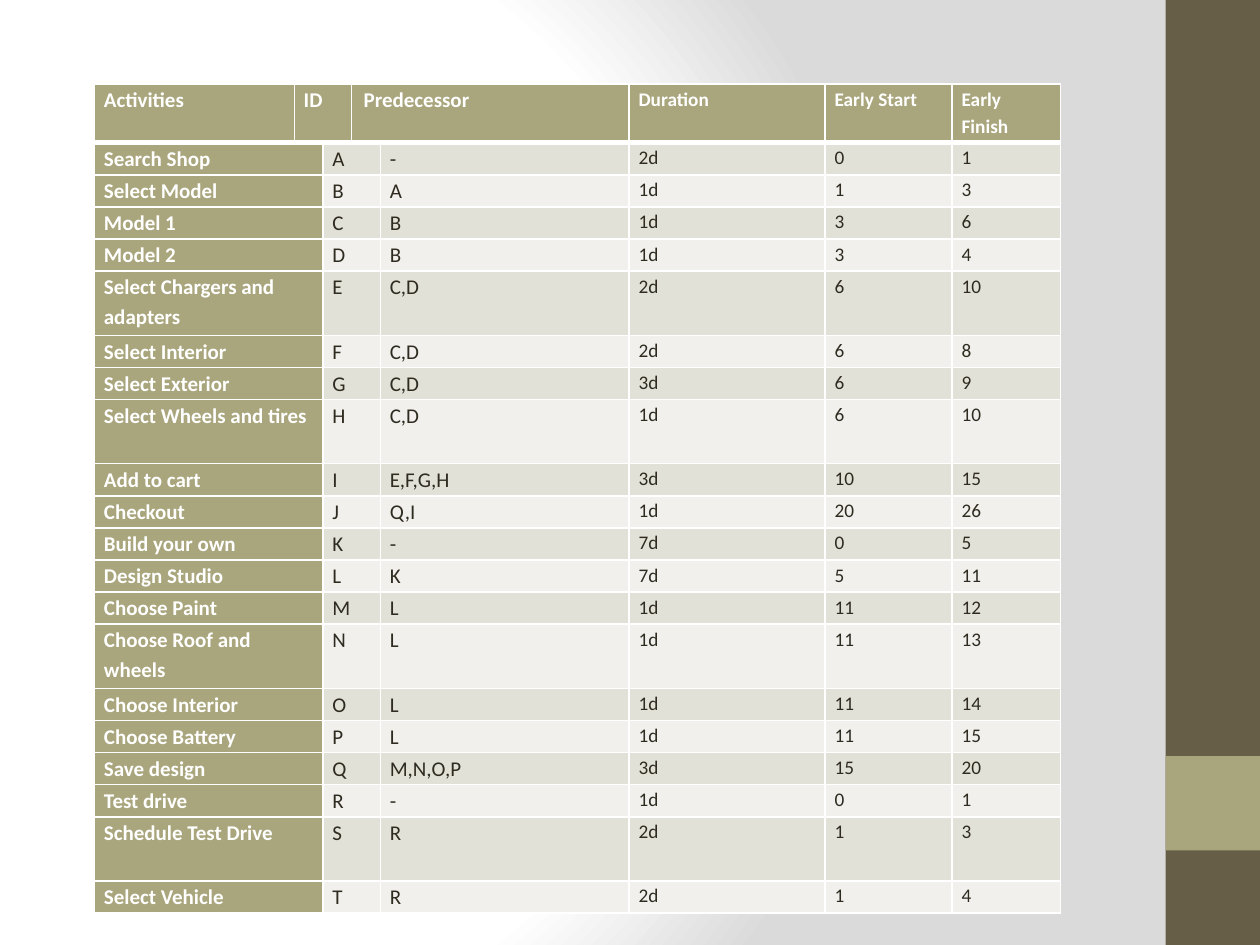
"""Build a slide with a table of activities, durations and early dates."""
import dataclasses

import lxml.etree
import pptx
import pptx.dml.color
import pptx.enum.shapes
import pptx.oxml
import pptx.oxml.ns
import pptx.util

Pt = pptx.util.Pt
HUES = {
    "white": "FFFFFF", "grey": "DADADA", "dark": "675E47", "olive": "A9A57C",
    "ink": "2F2B20", "odd": "E2E1D7", "even": "F1F0EC",
}
FONT = "Calibri"
WIDTHS = [114.2, 16.4, 16.4, 16.4, 142.2, 112, 72.6, 62]
TOP_HEIGHT, LOW, TALL = 33.6, 18.35, 36.7
TOP_COLS = [(0, 0), (1, 2), (3, 4), (5, 5), (6, 6), (7, 7)]
BODY_COLS = [(0, 1), (2, 3), (4, 4), (5, 5), (6, 6), (7, 7)]
SIZES = [12, 12, 12, 11, 11, 11]
HEADS = ["Activities", "ID", "Predecessor", "Duration", "Early Start", "Early Finish"]


@dataclasses.dataclass
class Task:
    """One row of the schedule."""
    name: str
    key: str
    prior: str
    days: str
    start: str
    end: str
    height: float = LOW


@dataclasses.dataclass
class Bar:
    """One block of the side band."""
    top: float
    height: float
    hue: str


BARS = [Bar(0, 540, "dark"), Bar(432, 54, "olive")]
TASKS = [
    Task("Search Shop", "A", "-", "2d", "0", "1"),
    Task("Select Model", "B", "A", "1d", "1", "3"),
    Task("Model 1", "C", "B", "1d", "3", "6"),
    Task("Model 2", "D", "B", "1d", "3", "4"),
    Task("Select Chargers and adapters", "E", "C,D", "2d", "6", "10", TALL),
    Task("Select Interior", "F", "C,D", "2d", "6", "8"),
    Task("Select Exterior", "G", "C,D", "3d", "6", "9"),
    Task("Select Wheels and tires", "H", "C,D", "1d", "6", "10", TALL),
    Task("Add to cart", "I", "E,F,G,H", "3d", "10", "15"),
    Task("Checkout", "J", "Q,I", "1d", "20", "26"),
    Task("Build your own", "K", "-", "7d", "0", "5"),
    Task("Design Studio", "L", "K", "7d", "5", "11"),
    Task("Choose Paint", "M", "L", "1d", "11", "12"),
    Task("Choose Roof and wheels", "N", "L", "1d", "11", "13", TALL),
    Task("Choose Interior", "O", "L", "1d", "11", "14"),
    Task("Choose Battery", "P", "L", "1d", "11", "15"),
    Task("Save design", "Q", "M,N,O,P", "3d", "15", "20"),
    Task("Test drive", "R", "-", "1d", "0", "1"),
    Task("Schedule Test Drive", "S", "R", "2d", "1", "3", TALL),
    Task("Select Vehicle", "T", "R", "2d", "1", "4"),
]


def tint(hue: str) -> pptx.dml.color.RGBColor:
    """Look up a colour by name."""
    return pptx.dml.color.RGBColor.from_string(HUES[hue])


def paint_back(slide: pptx.slide.Slide) -> None:
    """Give the slide its round gradient."""
    stops = "".join(
        f'<a:gs pos="{pos}"><a:srgbClr val="{HUES[hue]}"/></a:gs>'
        for pos, hue in [(0, "white"), (75000, "white"), (100000, "grey")])
    back = pptx.oxml.parse_xml(
        f'<p:bg {pptx.oxml.ns.nsdecls("p", "a")}><p:bgPr><a:gradFill rotWithShape="1">'
        f'<a:gsLst>{stops}</a:gsLst><a:path path="circle">'
        '<a:fillToRect l="20000" t="50000" r="100000" b="50000"/></a:path>'
        '</a:gradFill><a:effectLst/></p:bgPr></p:bg>')
    slide.element.cSld.insert(0, back)


def draw_bar(slide: pptx.slide.Slide, bar: Bar) -> None:
    """Draw one block of the side band."""
    shape = slide.shapes.add_shape(
        pptx.enum.shapes.MSO_SHAPE.RECTANGLE, Pt(666), Pt(bar.top), Pt(54), Pt(bar.height))
    shape.shadow.inherit = False
    shape.fill.solid()
    shape.fill.fore_color.rgb = tint(bar.hue)
    shape.line.fill.background()


def style_cell(cell: pptx.table._Cell, hue: str, row: int) -> None:
    """Set the fill, insets and borders of a cell."""
    cell.fill.solid()
    cell.fill.fore_color.rgb = tint(hue)
    cell.margin_left = cell.margin_right = Pt(5.4)
    cell.margin_top = cell.margin_bottom = 0
    props = cell._tc.get_or_add_tcPr()
    wide = {"T": 3 if row == 1 else 1, "B": 3 if row == 0 else 1}
    for spot, side in enumerate("LRTB"):
        line = pptx.oxml.parse_xml(
            f'<a:ln{side} {pptx.oxml.ns.nsdecls("a")} w="{Pt(wide.get(side, 1))}">'
            f'<a:solidFill><a:srgbClr val="{HUES["white"]}"/></a:solidFill></a:ln{side}>')
        props.insert(spot, line)


def write_cell(cell: pptx.table._Cell, text: str, size: float, bold: bool) -> None:
    """Write one run of text into a cell."""
    para = cell.text_frame.paragraphs[0]
    para.line_spacing = 1.15
    run = para.add_run()
    run.text = text
    run.font.name = FONT
    run.font.size = Pt(size)
    run.font.bold = bold
    run.font.color.rgb = tint("white" if bold else "ink")


def fill_row(table: pptx.table.Table, row: int, words: list[str]) -> None:
    """Merge, style and write the cells of one row."""
    band = "odd" if row % 2 else "even"
    spans = BODY_COLS if row else TOP_COLS
    for spot, (first, last) in enumerate(spans):
        bold = row == 0 or spot == 0
        for col in range(first, last + 1):
            style_cell(table.cell(row, col), "olive" if bold else band, row)
        cell = table.cell(row, first)
        if last > first:
            cell.merge(table.cell(row, last))
        write_cell(cell, words[spot], SIZES[spot], bold)


def draw_table(slide: pptx.slide.Slide) -> None:
    """Draw the schedule."""
    heights = [TOP_HEIGHT] + [task.height for task in TASKS]
    table = slide.shapes.add_table(
        len(heights), len(WIDTHS), Pt(54), Pt(48), Pt(sum(WIDTHS)), Pt(sum(heights))).table
    table.first_row = table.horz_banding = False
    for col, width in zip(table.columns, WIDTHS):
        col.width = Pt(width)
    for line, height in zip(table.rows, heights):
        line.height = Pt(height)
    fill_row(table, 0, HEADS)
    for row, task in enumerate(TASKS, 1):
        fill_row(table, row, list(dataclasses.astuple(task)[:-1]))
    para = table.cell(0, 3).text_frame.paragraphs[0]
    para._p.get_or_add_pPr().set("marL", str(Pt(1.5)))


def main() -> None:
    """Build and save the deck."""
    deck = pptx.Presentation()
    deck.slide_width, deck.slide_height = Pt(720), Pt(540)
    slide = deck.slides.add_slide(deck.slide_layouts[6])
    paint_back(slide)
    for bar in BARS:
        draw_bar(slide, bar)
    draw_table(slide)
    deck.save("out.pptx")


if __name__ == "__main__":
    main()
